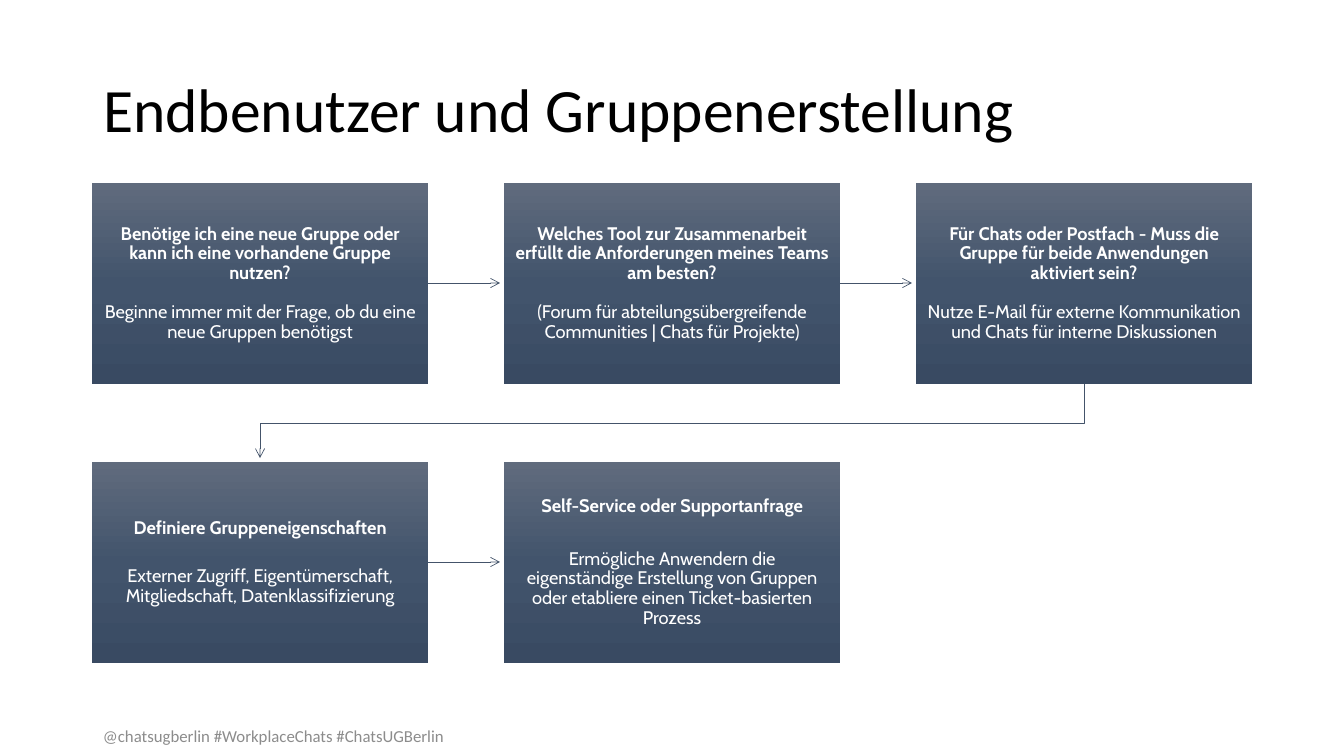
from copy import deepcopy
from pptx import Presentation
from pptx.dml.color import RGBColor
from pptx.enum.shapes import MSO_SHAPE, MSO_CONNECTOR
from pptx.enum.text import MSO_ANCHOR, MSO_AUTO_SIZE, PP_ALIGN
from pptx.oxml.ns import qn
from pptx.util import Pt

TITLE = "Endbenutzer und Gruppenerstellung"
FOOTER = "@chatsugberlin #WorkplaceChats #ChatsUGBerlin"
STEPS = [
    ("Benötige ich eine neue Gruppe oder kann ich eine vorhandene Gruppe nutzen?",
     "Beginne immer mit der Frage, ob du eine neue Gruppen benötigst", 14),
    ("Welches Tool zur Zusammenarbeit erfüllt die Anforderungen meines Teams am besten?",
     "(Forum für abteilungsübergreifende Communities | Chats für Projekte)", 14),
    ("Für Chats oder Postfach - Muss die Gruppe für beide Anwendungen aktiviert sein?",
     "Nutze E-Mail für externe Kommunikation und Chats für interne Diskussionen", 14),
    ("Definiere Gruppeneigenschaften",
     "Externer Zugriff, Eigentümerschaft, Mitgliedschaft, Datenklassifizierung", 20.5),
    ("Self-Service oder Supportanfrage",
     "Ermögliche Anwendern die eigenständige Erstellung von Gruppen "
     "oder etabliere einen Ticket-basierten Prozess", 23.5),
]
GRADIENT = [(0, "606B7D"), (0.5, "42546C"), (1, "394A62")]
LINE = "44546A"
COLUMNS = 3
LEFT, TOP, BOX_W, BOX_H = 92, 183, 336, 201
PITCH_X, PITCH_Y = 412, 279
ARROW_GAP = 4
SCALE = 914400 / 100.8


def px(n):
    return round(n * SCALE)


def rgb(color):
    return RGBColor.from_string(color)


def style_font(p, name, size, color, bold=False):
    for r in p.runs:
        r.font.name = name
        r.font.size = Pt(size)
        r.font.bold = bold
        r.font.color.rgb = rgb(color)


def style_line(s):
    s.line.color.rgb = rgb(LINE)
    s.line.width = Pt(0.5)
    ln = s.line._get_or_add_ln()
    ln.append(ln.makeelement(qn("a:tailEnd"), {"type": "arrow"}))
    spPr = s._element.spPr
    spPr.append(spPr.makeelement(qn("a:effectLst"), {}))


def fill_gradient(s):
    s.fill.gradient()
    s.fill.gradient_angle = 270
    stops = s._element.spPr.find(".//" + qn("a:gsLst"))
    stops.append(deepcopy(stops[0]))
    for stop, (position, color) in zip(s.fill.gradient_stops, GRADIENT):
        stop.position = position
        stop.color.rgb = rgb(color)


def add_step(shapes, x, y, heading, detail, gap):
    s = shapes.add_shape(MSO_SHAPE.RECTANGLE, px(x), px(y), px(BOX_W), px(BOX_H))
    s.shadow.inherit = False
    s.line.fill.background()
    fill_gradient(s)
    tf = s.text_frame
    tf.word_wrap = True
    tf.vertical_anchor = MSO_ANCHOR.MIDDLE
    tf.margin_left = tf.margin_right = tf.margin_top = tf.margin_bottom = px(10)
    tf.text = heading + "\n" + detail
    for p, bold in zip(tf.paragraphs, (True, False)):
        p.alignment = PP_ALIGN.CENTER
        p.line_spacing = 0.9
        style_font(p, "Cabin", 13, "FFFFFF", bold)
    tf.paragraphs[0].space_after = Pt(gap)


def add_arrow(shapes, start, end):
    (x1, y1), (x2, y2) = start, end
    if y1 == y2:
        y = y1 + BOX_H // 2
        s = shapes.add_connector(MSO_CONNECTOR.STRAIGHT, px(x1 + BOX_W), px(y),
                                 px(x2 - ARROW_GAP), px(y))
    else:
        from_x, to_x = x1 + BOX_W // 2, x2 + BOX_W // 2
        bottom = y1 + BOX_H
        middle = (bottom + y2) // 2
        path = shapes.build_freeform(px(from_x), px(bottom))
        path.add_line_segments([(px(from_x), px(middle)), (px(to_x), px(middle)),
                                (px(to_x), px(y2 - ARROW_GAP))], close=False)
        s = path.convert_to_shape()
        s.fill.background()
    style_line(s)


def main():
    prs = Presentation()
    prs.slide_width, prs.slide_height = px(1344), px(756)
    shapes = prs.slides.add_slide(prs.slide_layouts[5]).shapes

    title = shapes.title
    title.left, title.top, title.width, title.height = px(93), px(40), px(1159), px(146)
    footer = shapes.add_textbox(px(93), px(716), px(436), px(40))
    for s, text, size, color in ((title, TITLE, 44, "000000"), (footer, FOOTER, 12, "8C8C8C")):
        tf = s.text_frame
        tf.text = text
        tf.word_wrap = True
        tf.auto_size = MSO_AUTO_SIZE.NONE
        tf.vertical_anchor = MSO_ANCHOR.MIDDLE
        tf.paragraphs[0].alignment = PP_ALIGN.LEFT
        style_font(tf.paragraphs[0], "Calibri", size, color)
    title.text_frame.paragraphs[0].line_spacing = 0.9

    spots = [(LEFT + i % COLUMNS * PITCH_X, TOP + i // COLUMNS * PITCH_Y)
             for i in range(len(STEPS))]
    for (x, y), step in zip(spots, STEPS):
        add_step(shapes, x, y, *step)
    for start, end in zip(spots, spots[1:]):
        add_arrow(shapes, start, end)
    prs.save("out.pptx")


if __name__ == "__main__":
    main()
